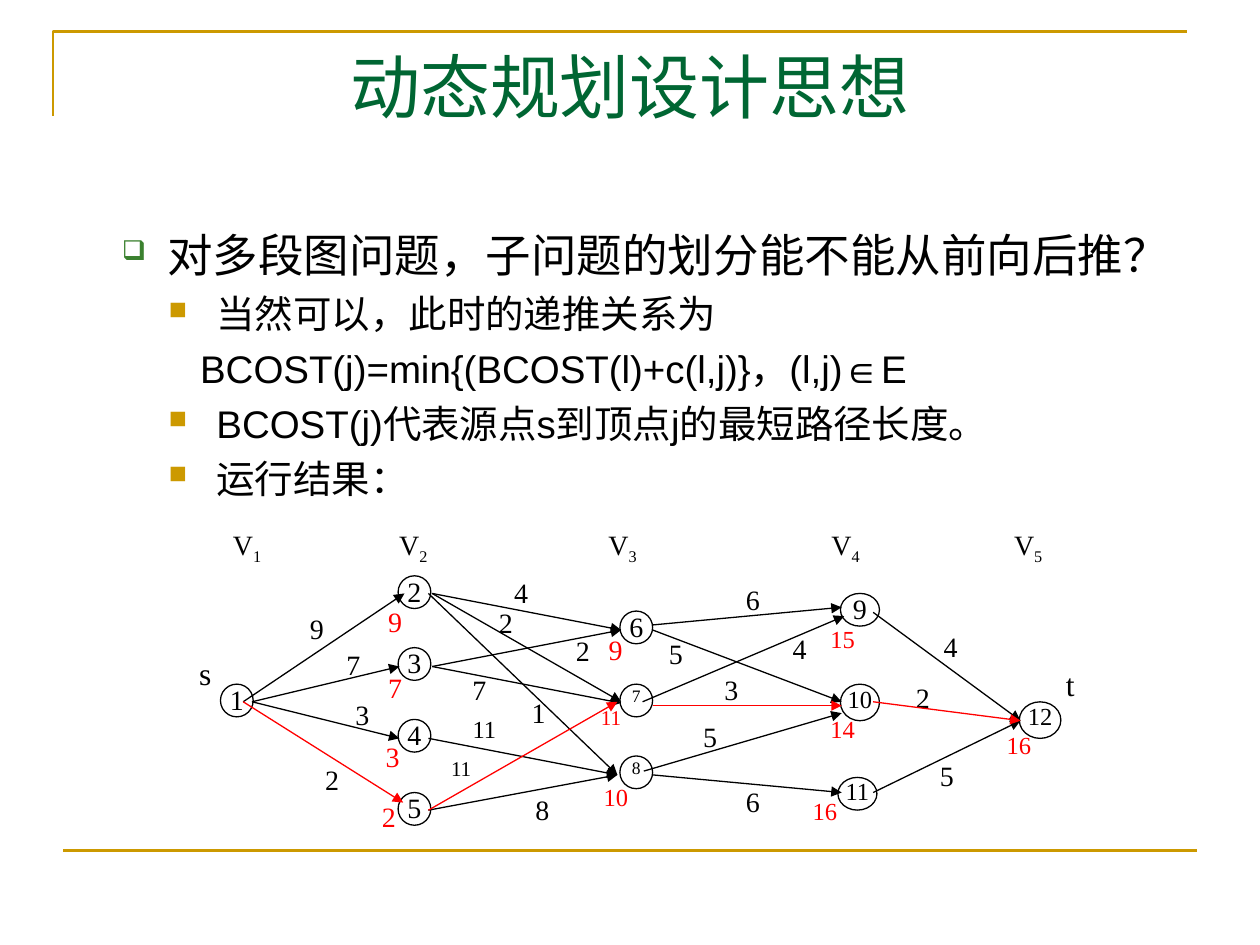
"""Build a slide on forward dynamic programming over a multistage graph."""
from lxml.etree import SubElement
from pptx import Presentation
from pptx.dml.color import RGBColor
from pptx.enum.shapes import MSO_CONNECTOR, MSO_SHAPE
from pptx.enum.text import MSO_ANCHOR, PP_ALIGN
from pptx.oxml.ns import qn
from pptx.util import Inches, Pt

GOLD = RGBColor(0xCC, 0x99, 0x00)
GREEN = RGBColor(0x00, 0x66, 0x33)
LEAF = RGBColor(0x3B, 0x81, 0x2F)
BLACK = RGBColor(0, 0, 0)
WHITE = RGBColor(0xFF, 0xFF, 0xFF)
RED = RGBColor(0xFF, 0, 0)
SERIF, SANS = "Times New Roman", "Arial"

POINTS = [
    ("对多段图问题，子问题的划分能不能从前向后推？", 26, 0.73, -0.36, ("❑", LEAF, 60)),
    ("当然可以，此时的递推关系为", 22, 1.12, -0.38, ("■", GOLD, 65)),
    ("BCOST(j)=min{(BCOST(l)+c(l,j)}，(l,j)∈E", 22, 0.99, 0, None),
    ("BCOST(j)代表源点s到顶点j的最短路径长度。", 22, 1.12, -0.38, ("■", GOLD, 65)),
    ("运行结果：", 22, 1.12, -0.38, ("■", GOLD, 65)),
]
TABS = [1.32, 2.98, 4.75, 6.2]
WEIGHTS = [
    ("1", 4.22, 5.52, 16), ("t", 8.46, 5.28, 18), ("s", 1.58, 5.19, 18),
    ("3", 2.82, 5.54, 16), ("7", 2.75, 5.14, 16), ("2", 2.58, 6.05, 16),
    ("9", 2.46, 4.85, 16), ("2", 4.57, 5.03, 16), ("2", 3.96, 4.81, 16),
    ("4", 4.08, 4.57, 16), ("6", 5.92, 4.62, 16), ("11", 3.58, 6, 12),
    ("7", 3.75, 5.34, 16), ("8", 4.25, 6.29, 16), ("11", 3.75, 5.67, 14),
    ("3", 5.75, 5.34, 16), ("4", 6.29, 5.01, 16), ("5", 5.31, 5.05, 16),
    ("2", 7.27, 5.4, 16), ("6", 5.92, 6.23, 16), ("5", 5.58, 5.71, 16),
    ("5", 7.46, 6.02, 16), ("4", 7.49, 5, 16),
]
COSTS = [
    ("9", 4.83, 5.07, 16), ("2", 3.03, 6.4, 16), ("3", 3.06, 5.92, 16),
    ("7", 3.08, 5.37, 16), ("9", 3.08, 4.85, 16), ("10", 4.79, 6.25, 14),
    ("11", 4.77, 5.63, 12), ("16", 6.45, 6.36, 14), ("14", 6.59, 5.71, 14),
    ("15", 6.59, 5, 14), ("16", 7.99, 5.84, 14),
]
NODES = [
    ("1", 1.75, 5.43, 0.26, 0.26, 16),
    ("2", 3.16, 4.57, 0.26, 0.26, 16), ("3", 3.16, 5.14, 0.26, 0.26, 16),
    ("4", 3.16, 5.71, 0.26, 0.26, 16), ("5", 3.16, 6.29, 0.26, 0.26, 16),
    ("6", 4.92, 4.85, 0.26, 0.26, 16), ("7", 4.92, 5.43, 0.26, 0.26, 10),
    ("8", 4.92, 6, 0.26, 0.26, 10),
    ("9", 6.67, 4.71, 0.31, 0.26, 16), ("10", 6.67, 5.43, 0.31, 0.29, 14),
    ("11", 6.65, 6.17, 0.31, 0.26, 14), ("12", 8.09, 5.57, 0.33, 0.29, 14),
]
EDGES = [
    (1.93, 5.57, 3.21, 4.71), (2, 5.57, 3.17, 5.29), (2, 5.57, 3.17, 5.86),
    (3.43, 4.71, 4.93, 5), (3.43, 4.71, 4.93, 5.57), (3.4, 4.71, 4.9, 6.15),
    (3.43, 5.29, 4.93, 5), (3.43, 5.29, 4.93, 5.58),
    (3.4, 5.86, 4.9, 6.15), (3.4, 6.43, 4.9, 6.15),
    (5.18, 4.96, 6.68, 4.82), (5.18, 5, 6.68, 5.57), (5.1, 5.57, 6.7, 4.89),
    (5.11, 6.12, 6.68, 5.66), (5.18, 6.15, 6.68, 6.29),
    (6.93, 4.86, 8.1, 5.72), (6.93, 6.29, 8.1, 5.72),
]
BEST = [
    (1.93, 5.57, 3.2, 6.37), (3.4, 6.43, 4.9, 5.57),
    (5.18, 5.6, 6.68, 5.6), (6.93, 5.57, 8.1, 5.72),
]


def style(run, size, color, face=SERIF):
    """Set the font of a run."""
    font = run.font
    font.name, font.size = face, Pt(size)
    font.color.rgb = color


def add_line(slide, ends, color, width=0.75, arrow=True):
    """Draw a straight line, with an arrowhead if asked."""
    line = slide.shapes.add_connector(MSO_CONNECTOR.STRAIGHT, *map(Inches, ends))
    line.line.color.rgb, line.line.width = color, Pt(width)
    if arrow:
        SubElement(line.line._get_or_add_ln(), qn("a:tailEnd"), type="triangle")
    SubElement(line._element.spPr, qn("a:effectLst"))


def add_frame(slide):
    """Draw the gold corner and the rule at the foot."""
    maker = slide.shapes.build_freeform(Inches(0.42), Inches(0.92))
    maker.add_line_segments([(Inches(0.42), Inches(0.25)), (Inches(9.42), Inches(0.25))], close=False)
    corner = maker.convert_to_shape()
    corner.shadow.inherit = False
    corner.fill.background()
    corner.line.color.rgb, corner.line.width = GOLD, Pt(1.5)
    add_line(slide, (0.5, 6.75, 9.5, 6.75), GOLD, 1.5, arrow=False)


def add_box(slide, *area):
    """Add a wrapping text box and return its text frame."""
    frame = slide.shapes.add_textbox(*map(Inches, area)).text_frame
    frame.word_wrap = True
    return frame


def add_title(slide):
    """Write the centred title."""
    para = add_box(slide, 0.5, 0.3, 9, 1.25).paragraphs[0]
    para.text, para.alignment = "动态规划设计思想", PP_ALIGN.CENTER
    style(para.runs[0], 40, GREEN)


def add_points(slide):
    """Write the bulleted text."""
    frame = add_box(slide, 0.5, 1.75, 9, 2.47)
    for index, (text, size, left, indent, mark) in enumerate(POINTS):
        para = frame.add_paragraph() if index else frame.paragraphs[0]
        para.text, para.space_before = text, Pt(5)
        style(para.runs[0], size, BLACK, SANS)
        props = para._p.get_or_add_pPr()
        props.set("marL", str(Inches(left)))
        props.set("indent", str(Inches(indent)))
        if mark:
            sign, color, scale = mark
            tint = SubElement(props, qn("a:buClr"))
            SubElement(tint, qn("a:srgbClr"), val=str(color))
            SubElement(props, qn("a:buSzPct"), val=str(scale * 1000))
            SubElement(props, qn("a:buChar"), char=sign)


def add_heads(slide):
    """Write the stage names on one row, set apart by tab stops."""
    para = add_box(slide, 1.75, 4.14, 7, 0.43).paragraphs[0]
    stops = SubElement(para._p.get_or_add_pPr(), qn("a:tabLst"))
    for stop in TABS:
        SubElement(stops, qn("a:tab"), pos=str(Inches(stop)), algn="l")
    for stage in range(1, len(TABS) + 2):
        name, index = para.add_run(), para.add_run()
        name.text = "V" if stage == 1 else "\tV"
        index.text = str(stage)
        for run in (name, index):
            style(run, 16, BLACK)
        index.font._element.set("baseline", "-25000")


def add_mark(slide, kind, text, area, size, color, tight=True):
    """Add a white shape with a short text and no insets."""
    shape = slide.shapes.add_shape(kind, *map(Inches, area))
    shape.shadow.inherit = False
    shape.fill.solid()
    shape.fill.fore_color.rgb = WHITE
    shape.line.fill.background()
    frame = shape.text_frame
    frame.margin_left = frame.margin_right = frame.margin_top = frame.margin_bottom = 0
    frame.vertical_anchor = MSO_ANCHOR.TOP
    para = frame.paragraphs[0]
    para.text, para.alignment = text, PP_ALIGN.LEFT
    if tight:
        para.line_spacing = 0.8
    style(para.runs[0], size, color)
    return shape


def add_node(slide, text, left, top, width, height, size):
    """Add a numbered vertex."""
    node = add_mark(slide, MSO_SHAPE.OVAL, text, (left, top, width, height), size, BLACK)
    node.line.color.rgb, node.line.width = BLACK, Pt(0.75)
    node.text_frame.paragraphs[0].alignment = PP_ALIGN.CENTER


def add_graph(slide):
    """Draw the labels, vertices and edges of the graph."""
    for text, left, top, size in WEIGHTS:
        area = (left, top, 0.21 if len(text) > 1 else 0.13, 0.23)
        add_mark(slide, MSO_SHAPE.RECTANGLE, text, area, size, BLACK, tight=False)
    for text, left, top, size in COSTS:
        area = (left, top, 0.2 if len(text) > 1 else 0.11, 0.18)
        add_mark(slide, MSO_SHAPE.RECTANGLE, text, area, size, RED)
    add_heads(slide)
    for node in NODES:
        add_node(slide, *node)
    for edges, color in ((EDGES, BLACK), (BEST, RED)):
        for ends in edges:
            add_line(slide, ends, color)


def main():
    """Build and save the slide."""
    deck = Presentation()
    deck.slide_width, deck.slide_height = Inches(10), Inches(7.5)
    slide = deck.slides.add_slide(deck.slide_layouts[6])
    add_frame(slide)
    add_title(slide)
    add_points(slide)
    add_graph(slide)
    deck.save("out.pptx")


if __name__ == "__main__":
    main()
